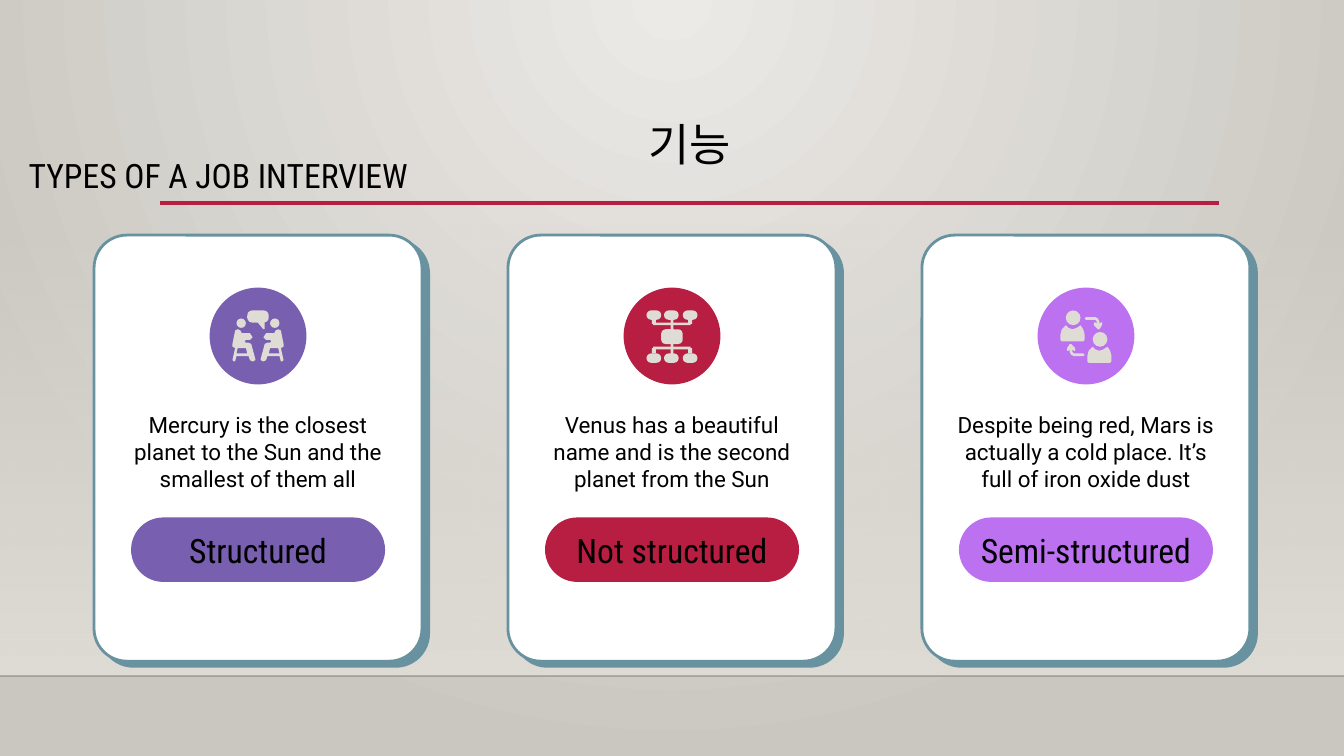
from lxml.etree import SubElement
from pptx import Presentation
from pptx.dml.color import RGBColor
from pptx.enum.shapes import MSO_CONNECTOR, MSO_SHAPE
from pptx.enum.text import MSO_ANCHOR, MSO_AUTO_SIZE, PP_ALIGN
from pptx.oxml.ns import qn
from pptx.util import Inches, Pt

COLORS = {
    "glow": "ECEAE7", "edge": "CAC7C1", "sand": "DFDBD5", "floor": "000001",
    "crimson": "B71E42", "purple": "795FAF", "violet": "BC72F0",
    "teal": "6892A0", "white": "FFFFFF", "black": "000000",
}
BADGE = 0.72


def rgb(name):
    return RGBColor.from_string(COLORS[name])


def set_alpha(element, percent):
    color = next(element.iter(qn("a:srgbClr")))
    SubElement(color, qn("a:alpha"), val=str(percent * 1000))


def set_gradient(fill, start, end):
    fill.gradient()
    for stop, color, position in zip(fill.gradient_stops, (start, end), (0, 1)):
        stop.color.rgb = rgb(color)
        stop.position = position


def paint(shape, color):
    shape.shadow.inherit = False
    shape.fill.solid()
    shape.fill.fore_color.rgb = rgb(color)
    shape.line.fill.background()
    return shape


def add_block(slide, preset, left, top, width, height, color, corner=None):
    block = slide.shapes.add_shape(
        preset, Inches(left), Inches(top), Inches(width), Inches(height))
    if corner is not None:
        block.adjustments[0] = corner
    return paint(block, color)


def add_outline(slide, left, top, *contours):
    def place(points):
        return [(Inches(left + x), Inches(top + y)) for x, y in points]

    first, *holes = [place(points) for points in contours]
    builder = slide.shapes.build_freeform(*first[0], scale=1.0)
    builder.add_line_segments(first[1:], close=True)
    for hole in holes:
        builder.move_to(*hole[0])
        builder.add_line_segments(hole[1:], close=True)
    return paint(builder.convert_to_shape(), "sand")


def add_rule(slide, left, right, y, color, weight):
    rule = slide.shapes.add_connector(
        MSO_CONNECTOR.STRAIGHT, Inches(left), Inches(y), Inches(right), Inches(y))
    rule.line.color.rgb = rgb(color)
    rule.line.width = Pt(weight)
    SubElement(rule._element.spPr, qn("a:effectLst"))
    return rule


def write(holder, text, size, font, side_inset=0.1, spacing=None):
    frame = holder.text_frame
    frame.word_wrap = True
    frame.auto_size = MSO_AUTO_SIZE.NONE
    frame.vertical_anchor = MSO_ANCHOR.MIDDLE
    frame.margin_left = frame.margin_right = Inches(side_inset)
    frame.margin_top = frame.margin_bottom = Inches(0.1)
    paragraph = frame.paragraphs[0]
    paragraph.alignment = PP_ALIGN.CENTER
    if spacing:
        paragraph.line_spacing = spacing
    run = paragraph.add_run()
    run.text = text
    run.font.size = Pt(size)
    run.font.name = font
    run.font.color.rgb = rgb("black")


def add_backdrop(slide, width):
    set_gradient(slide.background.fill, "glow", "edge")
    gradient = next(slide._element.iter(qn("a:gradFill")))
    gradient.remove(gradient.find(qn("a:lin")))
    circle = SubElement(gradient, qn("a:path"), {"path": "circle"})
    SubElement(circle, qn("a:fillToRect"), l="43000", t="0", r="43000", b="100000")

    wall = add_block(slide, MSO_SHAPE.RECTANGLE, 0, 1.66, width, 3.37, "sand")
    set_gradient(wall.fill, "sand", "sand")
    wall.fill.gradient_angle = 270
    set_alpha(wall._element.spPr, 0)
    floor = add_rule(slide, 0, width, 5.03, "floor", 1)
    set_alpha(floor._element.spPr, 20)


def add_heading(slide, left, top, width, height):
    title = slide.shapes.title
    title.left, title.top = Inches(left), Inches(top)
    title.width, title.height = Inches(width), Inches(height)
    write(title, "기능", 24, "Cabin", spacing=0.9)
    subtitle = slide.shapes.add_textbox(0, Inches(1.1), Inches(3.25), Inches(0.44))
    write(subtitle, "TYPES OF A JOB INTERVIEW", 18, "Roboto Condensed", spacing=0.9)
    add_rule(slide, left, left + width, 1.51, "crimson", 2.5)


def draw_conversation(slide, left, top):
    sitter = [
        (.21, .31), (.19, .32), (.17, .42), (.17, .44), (.19, .45), (.17, .54),
        (.18, .55), (.19, .55), (.2, .51), (.29, .51), (.3, .54), (.32, .55),
        (.34, .54), (.34, .53), (.31, .42), (.29, .41), (.27, .41), (.26, .4),
        (.27, .39), (.3, .39), (.32, .37), (.3, .34), (.24, .34), (.23, .32)]
    stool_gap = [(.27, .45), (.28, .49), (.2, .49), (.21, .45)]

    def mirror(points):
        return [(BADGE - x, y) for x, y in points]

    add_outline(slide, left, top, sitter, stool_gap)
    add_outline(slide, left, top, mirror(sitter), mirror(stool_gap))
    for x in (0.2, 0.45):
        add_block(slide, MSO_SHAPE.OVAL, left + x, top + 0.23, 0.07, 0.07, "sand")
    add_block(slide, MSO_SHAPE.ROUNDED_RECTANGLE,
              left + 0.28, top + 0.17, 0.16, 0.09, "sand", 0.4)
    add_outline(slide, left, top, [(.35, .25), (.4, .31), (.41, .31), (.41, .25)])


def draw_hierarchy(slide, left, top):
    def bar(x, y, width, height):
        add_block(slide, MSO_SHAPE.RECTANGLE, left + x, top + y, width, height, "sand")

    def node(x, y, width, height, corner):
        add_block(slide, MSO_SHAPE.ROUNDED_RECTANGLE,
                  left + x, top + y, width, height, "sand", corner)

    bar(0.35, 0.2, 0.02, 0.32)
    node(0.28, 0.31, 0.16, 0.11, 0.3)
    for node_top, bar_top, stem_top in ((0.17, 0.26, 0.23), (0.49, 0.44, 0.45)):
        bar(0.22, bar_top, 0.28, 0.02)
        for x in (0.21, 0.48):
            bar(x, stem_top, 0.03, 0.04)
        for x in (0.17, 0.3, 0.44):
            node(x, node_top, 0.11, 0.07, 0.5)


def draw_exchange(slide, left, top):
    shoulders = [
        (.04, 0), (.01, .03), (0, .07), (0, .11), (.01, .12), (.17, .12),
        (.18, .11), (.18, .07), (.17, .03), (.15, 0), (.12, .02), (.09, .03), (.06, .02)]
    arrow = [
        (.36, .22), (.35, .23), (.36, .24), (.43, .24), (.44, .25), (.44, .27),
        (.43, .26), (.42, .26), (.42, .28), (.45, .31), (.46, .31), (.48, .28),
        (.48, .26), (.47, .26), (.46, .27), (.46, .25), (.45, .23), (.43, .22)]
    for x, y in ((0.17, 0.17), (0.37, 0.33)):
        add_block(slide, MSO_SHAPE.OVAL, left + x + 0.04, top + y, 0.11, 0.11, "sand")
        add_outline(slide, left + x, top + y + 0.11, shoulders)
    add_outline(slide, left, top, arrow)
    add_outline(slide, left, top, [(0.7 - x, 0.73 - y) for x, y in arrow])


def add_card(slide, left, top, width, height, label, description, color, draw_icon):
    panel = add_block(slide, MSO_SHAPE.ROUNDED_RECTANGLE,
                      left, top, width, height, "white", 0.1)
    panel.line.color.rgb = rgb("teal")
    panel.line.width = Pt(1.5)
    effects = panel._element.spPr.find(qn("a:effectLst"))
    shadow = SubElement(effects, qn("a:outerShdw"), dist=str(Pt(4.5)),
                        dir=str(38 * 60000), algn="bl", rotWithShape="0")
    SubElement(shadow, qn("a:srgbClr"), val=COLORS["teal"])

    pill_width, text_width = 1.89, 2.16
    pill = add_block(slide, MSO_SHAPE.ROUNDED_RECTANGLE, left + (width - pill_width) / 2,
                     top + 2.1, pill_width, 0.48, color, 0.5)
    write(pill, label, 18, "Roboto Condensed", side_inset=0)
    badge_left, badge_top = left + (width - BADGE) / 2, top + 0.39
    add_block(slide, MSO_SHAPE.OVAL, badge_left, badge_top, BADGE, BADGE, color)
    draw_icon(slide, badge_left, badge_top)
    blurb = slide.shapes.add_textbox(Inches(left + (width - text_width) / 2),
                                     Inches(top + 1.3), Inches(text_width), Inches(0.62))
    write(blurb, description, 12, "Roboto")


def main():
    deck = Presentation()
    deck.slide_width, deck.slide_height = Inches(10), Inches(10 * 9 / 16)
    slide = deck.slides.add_slide(deck.slide_layouts[5])
    add_backdrop(slide, 10)
    add_heading(slide, 1.19, 0.66, 7.88, 0.86)
    interviews = [
        ("Structured", "Mercury is the closest planet to the Sun and the smallest of them all",
         "purple", draw_conversation),
        ("Not structured", "Venus has a beautiful name and is the second planet from the Sun",
         "crimson", draw_hierarchy),
        ("Semi-structured",
         "Despite being red, Mars is actually a cold place. It’s full of iron oxide dust",
         "violet", draw_exchange),
    ]
    for column, interview in enumerate(interviews):
        add_card(slide, 0.7 + 3.08 * column, 1.75, 2.44, 3.17, *interview)
    deck.save("out.pptx")


if __name__ == "__main__":
    main()
